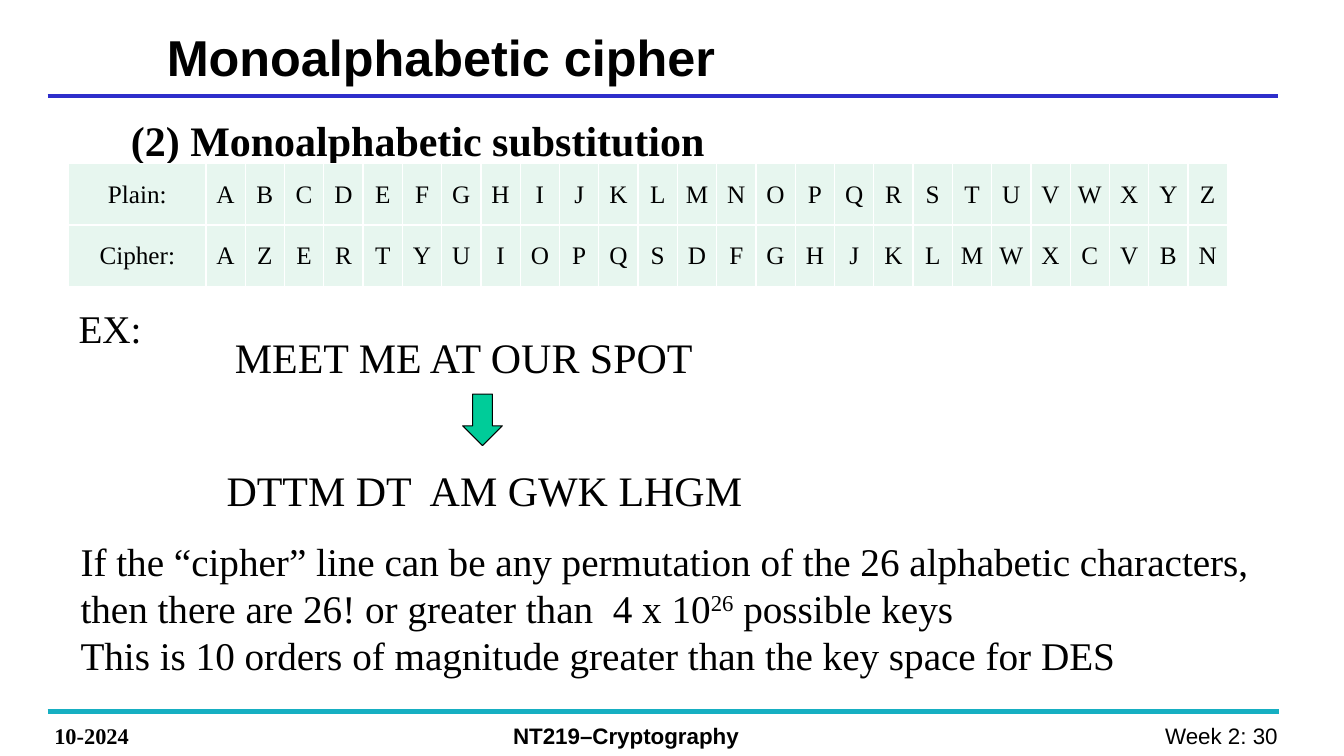
from lxml.etree import SubElement
from pptx import Presentation
from pptx.dml.color import RGBColor
from pptx.enum.shapes import MSO_CONNECTOR as Connector, MSO_SHAPE as Preset
from pptx.enum.text import MSO_ANCHOR as Anchor, MSO_AUTO_SIZE as AutoSize, PP_ALIGN as Align
from pptx.oxml.ns import qn
from pptx.util import Cm, Pt

COLOURS = {
    "ink": "000000",
    "header_rule": "2E2ECB",
    "footer_rule": "16AFC2",
    "arrow": "00CC99",
    "cell": "E7F6EF",
}
SERIF, SANS = "Times New Roman", "Arial"
ALPHABET = "ABCDEFGHIJKLMNOPQRSTUVWXYZ"
CIPHER = "AZERTYUIOPQSDFGHJKLMWXCVBN"


def colour(name):
    return RGBColor.from_string(COLOURS[name])


def write(frame, text, size=28, font=SERIF, bold=False, align=Align.LEFT,
          anchor=Anchor.TOP, wrap=True):
    frame.word_wrap = wrap
    frame.vertical_anchor = anchor
    for index, line in enumerate(text.split("\n")):
        paragraph = frame.add_paragraph() if index else frame.paragraphs[0]
        paragraph.alignment = align
        for part, words in enumerate(line.split("^")):
            run = paragraph.add_run()
            run.text = words
            run.font.size = Pt(size)
            run.font.name = font
            run.font.bold = bold
            run.font.color.rgb = colour("ink")
            if part % 2:
                run.font._element.set("baseline", "30000")


def add_text(slide, text, left, top, width, height, **style):
    box = slide.shapes.add_textbox(Cm(left), Cm(top), Cm(width), Cm(height))
    write(box.text_frame, text, **style)
    box.text_frame.auto_size = AutoSize.SHAPE_TO_FIT_TEXT


def add_rule(slide, left, right, y, name, weight):
    rule = slide.shapes.add_connector(Connector.STRAIGHT, Cm(left), Cm(y), Cm(right), Cm(y))
    rule.line.color.rgb = colour(name)
    rule.line.width = Pt(weight)
    SubElement(rule._element.spPr, qn("a:effectLst"))


def add_header(slide, left, top, width, height):
    add_rule(slide, left, left + width, top + height, "header_rule", 2.25)
    title = slide.shapes.title
    title.left, title.top = Cm(left + 2.75), Cm(top)
    title.width, title.height = Cm(20.4), Cm(1.8)
    write(title.text_frame, "Monoalphabetic cipher", size=36, font=SANS, bold=True,
          anchor=Anchor.MIDDLE)
    title.text_frame.auto_size = AutoSize.NONE


def add_footer(slide, left, top, width, height):
    add_rule(slide, left, left + width, top, "footer_rule", 3)
    text_top = top + 0.13
    add_text(slide, "10-2024", left - 0.08, text_top, 4.52, height, size=16, bold=True)
    add_text(slide, "NT219–Cryptography", left + 11.48, text_top, 12.27, height,
             size=16, font=SANS, bold=True)
    add_text(slide, "Week 2: 30", left + 23.75, text_top, 7.5, height,
             size=16, font=SANS, align=Align.RIGHT)


def add_key_table(slide, left, top, width, height):
    rows = [["Plain:", *ALPHABET], ["Cipher:", *CIPHER]]
    letter_width = 0.99
    key = slide.shapes.add_table(len(rows), len(rows[0]), Cm(left), Cm(top),
                                 Cm(width), Cm(height)).table
    key.first_row = key.horz_banding = False
    for index, column in enumerate(key.columns):
        column.width = Cm(letter_width if index else width - len(ALPHABET) * letter_width)
    for row, letters in enumerate(rows):
        key.rows[row].height = Cm(height / len(rows))
        for column, letter in enumerate(letters):
            cell = key.cell(row, column)
            cell.fill.solid()
            cell.fill.fore_color.rgb = colour("cell")
            cell.margin_left = cell.margin_right = cell.margin_top = Cm(0.03)
            cell.margin_bottom = 0
            write(cell.text_frame, letter, size=18, align=Align.CENTER)
            cell.vertical_anchor = Anchor.MIDDLE


def add_example(slide, left, top, width, height):
    add_text(slide, "EX:", left, top, 2.1, 1.45, wrap=False)
    add_text(slide, "MEET ME AT OUR SPOT", left + 3.94, top + 0.69, width - 3.94, 1.55, size=30)
    arrow = slide.shapes.add_shape(Preset.DOWN_ARROW, Cm(left + 9.93), Cm(top + 2.39),
                                   Cm(1), Cm(1.3))
    arrow.shadow.inherit = False
    arrow.fill.solid()
    arrow.fill.fore_color.rgb = colour("arrow")
    arrow.line.color.rgb = colour("ink")
    arrow.line.width = Pt(0.75)
    add_text(slide, "DTTM DT  AM GWK LHGM", left + 3.73, top + height - 1.55,
             width - 3.94, 1.55, size=30)


def build_slide(deck):
    slide = deck.slides.add_slide(deck.slide_layouts[5])
    add_header(slide, 1.2, 0.51, 31, 1.91)
    add_footer(slide, 1.2, 17.93, 31.03, 0.94)
    add_text(slide, "(2) Monoalphabetic substitution", 3.05, 2.77, 15.11, 1.55,
             size=30, bold=True, wrap=False)
    add_example(slide, 1.73, 7.54, 18.72, 5.59)
    add_text(slide, "If the “cipher” line can be any permutation of the 26 alphabetic "
             "characters, then there are 26! or greater than  4 x 10^26^ possible keys\n"
             "This is 10 orders of magnitude greater than the key space for DES",
             1.78, 13.41, 30.38, 3.84)
    add_key_table(slide, 1.73, 4.13, 29.2, 3.08)


def main():
    deck = Presentation()
    deck.slide_width, deck.slide_height = Cm(33.87), Cm(19.05)
    build_slide(deck)
    deck.save("out.pptx")


if __name__ == "__main__":
    main()
